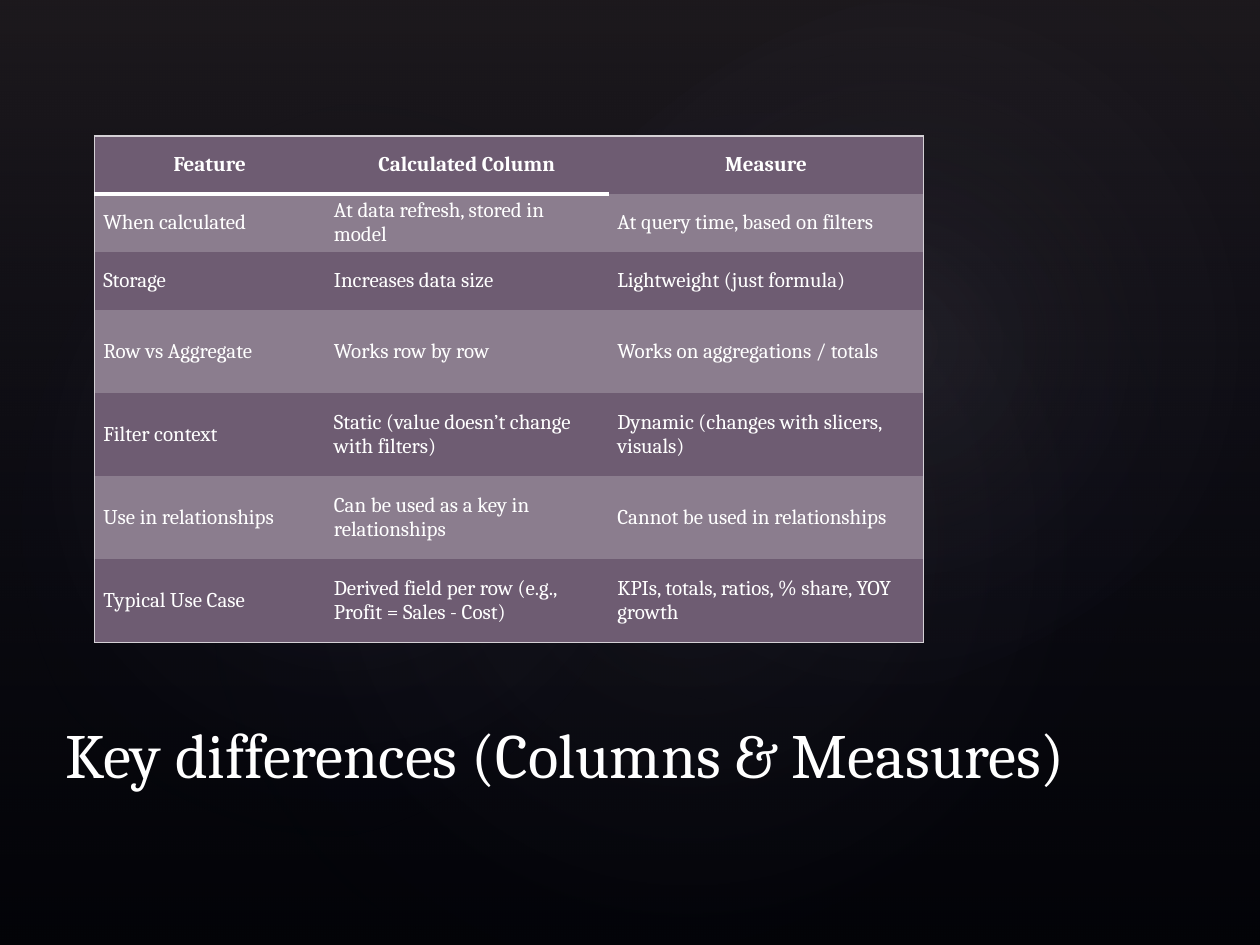
import dataclasses

import lxml.etree
import pptx
import pptx.dml.color
import pptx.enum.shapes
import pptx.enum.text
import pptx.oxml
import pptx.oxml.ns
import pptx.util

Inches = pptx.util.Inches
Pt = pptx.util.Pt
SHAPES = pptx.enum.shapes.MSO_SHAPE
ANCHOR = pptx.enum.text.MSO_ANCHOR
ALIGN = pptx.enum.text.PP_ALIGN

NO_STYLE_NO_GRID = "{2D5ABB26-0587-4C30-8999-92F81FD0307C}"
LINEAR_DOWN = '<a:lin ang="5400000" scaled="0"/>'
FROM_CENTRE = ('<a:path path="circle"><a:fillToRect l="50000" t="50000" '
               'r="50000" b="50000"/></a:path>')


@dataclasses.dataclass(frozen=True)
class Theme:
    font: str = "Cambria"
    title_size: float = 36
    table_size: float = 12
    background: str = "000000"
    text: str = "FFFFFF"
    dusk: str = "504652"
    navy: str = "242852"
    glow: str = "C4BCC6"
    row: str = "6E5C72"
    row_light: str = "8B7D8E"
    frame: str = "D5D1D6"
    frame_width: float = 1
    rule: str = "FFFFFF"
    rule_width: float = 2.25


THEME = Theme()

GLOWS = [  # left, top, width, height, rotation, opacity at the centre
    (1.5, 1.14, 7.92, 6.24, 328.7, 7),
    (-0.3, 1.28, 6.06, 4.9, 294.3, 8),
    (3.58, 0.13, 7.09, 5.2, 328.7, 8),
]

COLUMN_WIDTHS = [1.83, 2.25, 2.5]
ROW_HEIGHTS = [0.46] * 3 + [0.66] * 4
DIFFERENCES = [
    ("Feature", "Calculated Column", "Measure"),
    ("When calculated", "At data refresh, stored in model", "At query time, based on filters"),
    ("Storage", "Increases data size", "Lightweight (just formula)"),
    ("Row vs Aggregate", "Works row by row", "Works on aggregations / totals"),
    ("Filter context", "Static (value doesn’t change with filters)",
     "Dynamic (changes with slicers, visuals)"),
    ("Use in relationships", "Can be used as a key in relationships",
     "Cannot be used in relationships"),
    ("Typical Use Case", "Derived field per row (e.g., Profit = Sales - Cost)",
     "KPIs, totals, ratios, % share, YOY growth"),
]


def rgb(colour):
    return pptx.dml.color.RGBColor.from_string(colour)


def write_text(frame, text, size, bold=False, align=ALIGN.LEFT):
    para = frame.paragraphs[0]
    para.alignment = align
    span = para.add_run()
    span.text = text
    span.font.name = THEME.font
    span.font.size = Pt(size)
    span.font.bold = bold
    span.font.color.rgb = rgb(THEME.text)


def gradient_fill(stops, direction):
    """Return a gradient from (position %, colour, opacity %) stops."""
    marks = "".join(
        f'<a:gs pos="{position * 1000}"><a:srgbClr val="{colour}">'
        f'<a:alpha val="{opacity * 1000}"/></a:srgbClr></a:gs>'
        for position, colour, opacity in stops)
    return pptx.oxml.parse_xml(
        f'<a:gradFill {pptx.oxml.ns.nsdecls("a")} rotWithShape="1">'
        f'<a:gsLst>{marks}</a:gsLst>{direction}</a:gradFill>')


def set_borders(cell, borders):
    """Draw the sides given as {L, R, T or B: (colour, width)}."""
    properties = cell._tc.get_or_add_tcPr()
    sides = [side for side in "LRTB" if side in borders]
    for place, side in enumerate(sides):
        colour, width = borders[side]
        properties.insert(place, pptx.oxml.parse_xml(
            f'<a:ln{side} {pptx.oxml.ns.nsdecls("a")} w="{Pt(width)}">'
            f'<a:solidFill><a:srgbClr val="{colour}"/></a:solidFill></a:ln{side}>'))


class SlideBuilder:
    def __init__(self, page):
        self.page = page
        self.theme = THEME

    def background(self, colour):
        fill = self.page.background.fill
        fill.solid()
        fill.fore_color.rgb = rgb(colour)

    def gradient_shape(self, kind, left, top, width, height, stops, direction, rotation=0):
        shape = self.page.shapes.add_shape(
            kind, Inches(left), Inches(top), Inches(width), Inches(height))
        shape.rotation = rotation
        shape.shadow.inherit = False
        shape.line.fill.background()
        outline = shape._element.spPr.find(pptx.oxml.ns.qn("a:ln"))
        outline.addprevious(gradient_fill(stops, direction))

    def title(self, text, left, top, width, height):
        box = self.page.shapes.add_textbox(
            Inches(left), Inches(top), Inches(width), Inches(height))
        box.text_frame.word_wrap = True
        box.text_frame.vertical_anchor = ANCHOR.BOTTOM
        write_text(box.text_frame, text, self.theme.title_size)

    def table(self, rows, left, top, widths, heights):
        table = self.page.shapes.add_table(
            len(rows), len(widths), Inches(left), Inches(top),
            Inches(sum(widths)), Inches(sum(heights))).table
        table._tbl.tblPr.find(pptx.oxml.ns.qn("a:tableStyleId")).text = NO_STYLE_NO_GRID
        for column, width in zip(table.columns, widths):
            column.width = Inches(width)
        for row, height in zip(table.rows, heights):
            row.height = Inches(height)
        for r, texts in enumerate(rows):
            for c, text in enumerate(texts):
                self.cell(table, r, c, text)

    def cell(self, table, r, c, text):
        theme = self.theme
        cell = table.cell(r, c)
        header = r == 0
        last_row, last_column = len(table.rows) - 1, len(table.columns) - 1
        cell.vertical_anchor = ANCHOR.MIDDLE
        cell.margin_left = cell.margin_right = Inches(0.07)
        cell.margin_top = cell.margin_bottom = Inches(0.03)
        cell.fill.solid()
        cell.fill.fore_color.rgb = rgb(theme.row_light if r % 2 else theme.row)
        write_text(cell.text_frame, text, theme.table_size, bold=header,
                   align=ALIGN.CENTER if header else ALIGN.LEFT)

        on_edge = {"L": c == 0, "R": c == last_column, "T": header, "B": r == last_row}
        borders = {side: (theme.frame, theme.frame_width)
                   for side, outer in on_edge.items() if outer}
        if header and c < last_column:
            borders["B"] = (theme.rule, theme.rule_width)
        set_borders(cell, borders)


def main():
    deck = pptx.Presentation()
    deck.slide_width, deck.slide_height = Inches(10), Inches(7.5)
    slide = SlideBuilder(deck.slides.add_slide(deck.slide_layouts[6]))

    slide.background(THEME.background)
    slide.gradient_shape(SHAPES.RECTANGLE, 0, 0, 10, 7.5,
                         [(0, THEME.dusk, 36), (100, THEME.navy, 10)], LINEAR_DOWN)
    for left, top, width, height, rotation, opacity in GLOWS:
        slide.gradient_shape(SHAPES.OVAL, left, top, width, height,
                             [(0, THEME.glow, opacity), (58, THEME.navy, 0)],
                             FROM_CENTRE, rotation)
    slide.table(DIFFERENCES, 0.75, 1.08, COLUMN_WIDTHS, ROW_HEIGHTS)
    slide.title("Key differences (Columns & Measures)", 0.42, 5.33, 9.25, 1)

    deck.save("out.pptx")


if __name__ == "__main__":
    main()
